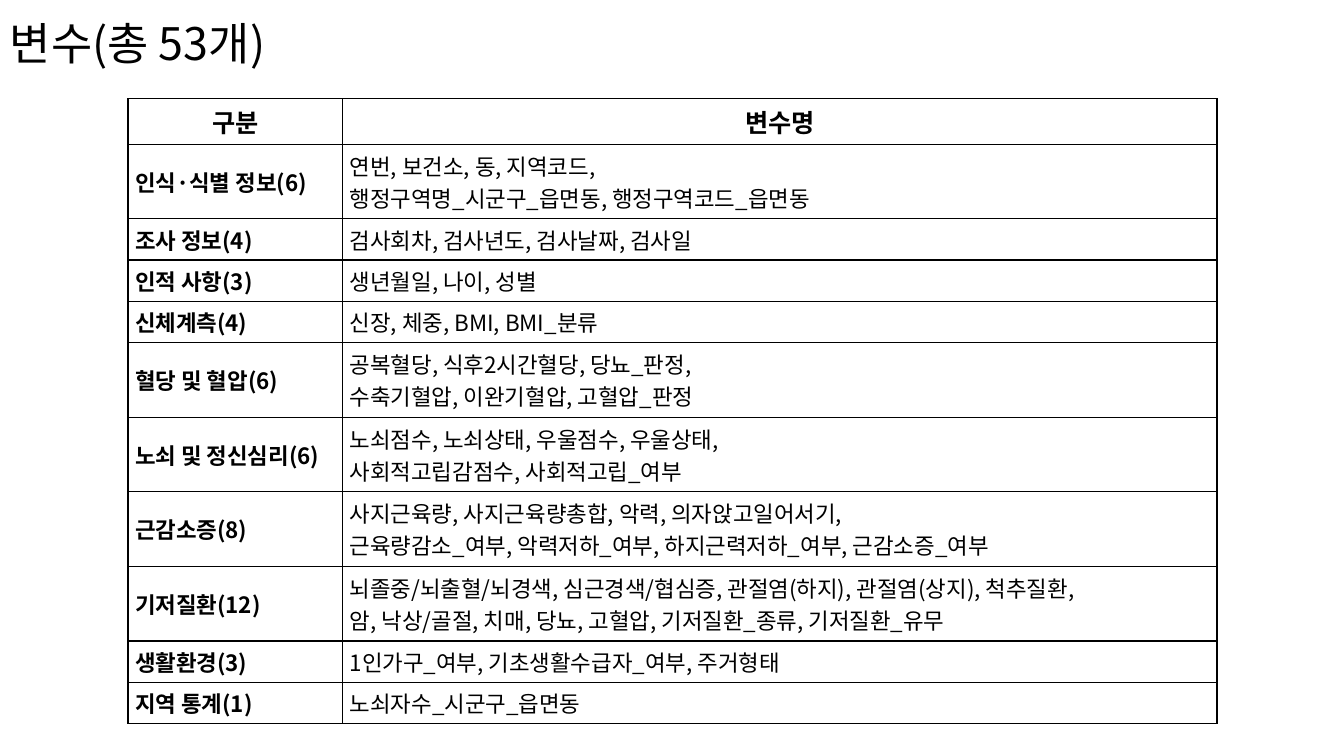
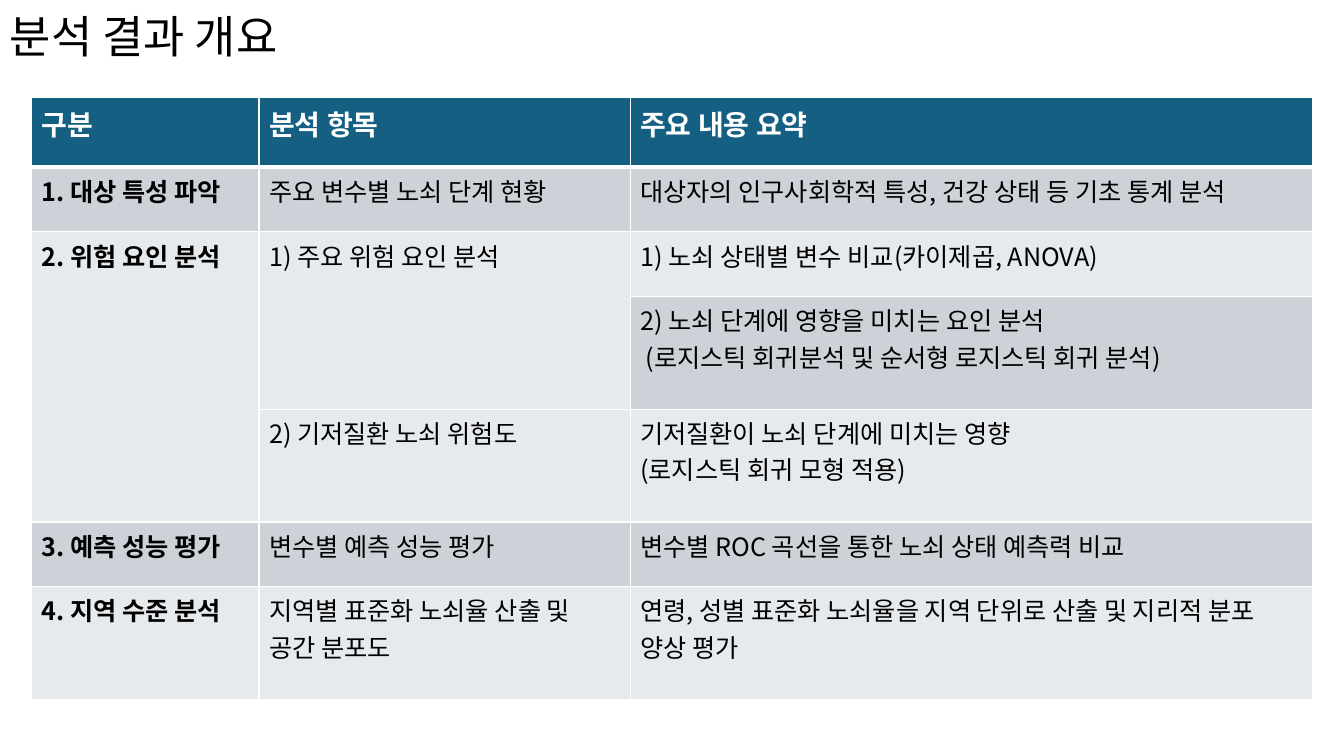
from lxml import etree
from pptx import Presentation
from pptx.dml.color import RGBColor
from pptx.enum.text import MSO_ANCHOR, PP_ALIGN
from pptx.oxml.ns import qn
from pptx.util import Inches, Pt

MID, TOP = MSO_ANCHOR.MIDDLE, MSO_ANCHOR.TOP
LEFT, CENTER = PP_ALIGN.LEFT, PP_ALIGN.CENTER
WIDE, HIGH = 13.33, 7.5
FACE = "Noto Sans CJK KR"
HUES = {"ink": "000000", "paper": "FFFFFF", "head": "156082",
        "dark": "CCD2D8", "light": "E7EAED"}

GRID = {
    "cols": [2.13, 8.67], "line": "ink", "heavy": 1,
    "head": {"size": 18, "color": "ink", "align": CENTER},
    "body": 16,
    "cell": {"vertical_anchor": MID,
             "margin_left": Inches(0.07), "margin_right": Inches(0.07),
             "margin_top": Inches(0.03), "margin_bottom": Inches(0.03)},
}
BANDS = {
    "cols": [2.26, 3.68, 6.77], "line": "paper", "heavy": 3,
    "head": {"size": 20, "color": "paper", "align": LEFT},
    "body": 18,
    "cell": {"vertical_anchor": TOP,
             "margin_left": Inches(0.1), "margin_right": Inches(0.1),
             "margin_top": Inches(0.05), "margin_bottom": Inches(0.05)},
}

FIELDS = [
    ("구분", "변수명"),
    ("인식·식별 정보(6)", "연번, 보건소, 동, 지역코드,\n행정구역명_시군구_읍면동, 행정구역코드_읍면동"),
    ("조사 정보(4)", "검사회차, 검사년도, 검사날짜, 검사일"),
    ("인적 사항(3)", "생년월일, 나이, 성별"),
    ("신체계측(4)", "신장, 체중, BMI, BMI_분류"),
    ("혈당 및 혈압(6)", "공복혈당, 식후2시간혈당, 당뇨_판정,\n수축기혈압, 이완기혈압, 고혈압_판정"),
    ("노쇠 및 정신심리(6)", "노쇠점수, 노쇠상태, 우울점수, 우울상태,\n사회적고립감점수, 사회적고립_여부"),
    ("근감소증(8)", "사지근육량, 사지근육량총합, 악력, 의자앉고일어서기,\n"
                 "근육량감소_여부, 악력저하_여부, 하지근력저하_여부, 근감소증_여부"),
    ("기저질환(12)", "뇌졸중/뇌출혈/뇌경색, 심근경색/협심증, 관절염(하지), 관절염(상지), 척추질환,\n"
                  "암, 낙상/골절, 치매, 당뇨, 고혈압, 기저질환_종류, 기저질환_유무"),
    ("생활환경(3)", "1인가구_여부, 기초생활수급자_여부, 주거형태"),
    ("지역 통계(1)", "노쇠자수_시군구_읍면동"),
]
STEPS = [
    ("구분", "분석 항목", "주요 내용 요약"),
    ("1. 대상 특성 파악", "주요 변수별 노쇠 단계 현황",
     "대상자의 인구사회학적 특성, 건강 상태 등 기초 통계 분석"),
    ("2. 위험 요인 분석", "1) 주요 위험 요인 분석",
     "1) 노쇠 상태별 변수 비교(카이제곱, ANOVA)"),
    (None, None, "2) 노쇠 단계에 영향을 미치는 요인 분석\n"
                 " (로지스틱 회귀분석 및 순서형 로지스틱 회귀 분석)"),
    (None, "2) 기저질환 노쇠 위험도",
     "기저질환이 노쇠 단계에 미치는 영향\n(로지스틱 회귀 모형 적용)"),
    ("3. 예측 성능 평가", "변수별 예측 성능 평가",
     "변수별 ROC 곡선을 통한 노쇠 상태 예측력 비교"),
    ("4. 지역 수준 분석", "지역별 표준화 노쇠율 산출 및 공간 분포도",
     "연령, 성별 표준화 노쇠율을 지역 단위로 산출 및 지리적 분포 양상 평가"),
]


def rgb(hue):
    return RGBColor.from_string(HUES[hue])


def write(frame, text, size, color="ink", bold=False, align=LEFT, spacing=1.0):
    for i, line in enumerate(text.split("\n")):
        para = frame.add_paragraph() if i else frame.paragraphs[0]
        para.alignment, para.line_spacing = align, spacing
        run = para.add_run()
        run.text = line
        look = {"size": Pt(size), "bold": bold, "name": FACE}
        for key, value in look.items():
            setattr(run.font, key, value)
        run.font.color.rgb = rgb(color)
        etree.SubElement(run.font._element, qn("a:ea"), typeface=FACE)


def title(slide, text, tall):
    box = slide.shapes.add_textbox(0, 0, Inches(WIDE), Inches(tall))
    frame = box.text_frame
    frame.word_wrap, frame.vertical_anchor = True, MID
    write(frame, text, 32, spacing=0.9)


def border(cell, hue, widths):
    props = cell._tc.get_or_add_tcPr()
    for side, width in zip("LRTB", widths):
        line = etree.SubElement(props, qn("a:ln" + side), w=str(Pt(width)))
        fill = etree.SubElement(line, qn("a:solidFill"))
        etree.SubElement(fill, qn("a:srgbClr"), val=HUES[hue])


def table(slide, left, top, data, rows, style, fills=None, spans=()):
    cols = style["cols"]
    box = [Inches(n) for n in (left, top, sum(cols), sum(rows))]
    grid = slide.shapes.add_table(len(rows), len(cols), *box).table
    grid.first_row = grid.horz_banding = False
    for parts, attr, sizes in ((grid.columns, "width", cols),
                               (grid.rows, "height", rows)):
        for part, size in zip(parts, sizes):
            setattr(part, attr, Inches(size))
    for r, texts in enumerate(data):
        heavy = style["heavy"]
        widths = (1, 1, heavy if r == 1 else 1, heavy if r == 0 else 1)
        for c, text in enumerate(texts):
            cell = grid.cell(r, c)
            for key, value in style["cell"].items():
                setattr(cell, key, value)
            border(cell, style["line"], widths)
            if fills:
                cell.fill.solid()
                cell.fill.fore_color.rgb = rgb(fills[r])
            else:
                cell.fill.background()
            if text:
                look = {"size": style["body"]} if r else style["head"]
                write(cell.text_frame, text, bold=r == 0 or c == 0, **look)
    for col, first, last in spans:
        origin = grid.cell(first, col)
        origin.merge(grid.cell(last, col))
        origin.fill.solid()
        origin.fill.fore_color.rgb = rgb(fills[first])


def fields(slide):
    title(slide, "변수(총 53개)", 0.91)
    rows = [0.45] + [0.74 if "\n" in row[1] else 0.41 for row in FIELDS[1:]]
    table(slide, 1.27, 0.98, FIELDS, rows, GRID)


def steps(slide):
    title(slide, "분석 결과 개요", 0.77)
    rows = [0.69, 0.64, 0.64, 1.12, 1.12, 0.64, 1.12]
    fills = ["head"] + ["dark", "light"] * 3
    table(slide, 0.31, 0.97, STEPS, rows, BANDS, fills, [(0, 2, 4), (1, 2, 3)])


def main():
    deck = Presentation()
    deck.slide_width, deck.slide_height = Inches(WIDE), Inches(HIGH)
    for build in (fields, steps):
        build(deck.slides.add_slide(deck.slide_layouts[6]))
    deck.save("out.pptx")


if __name__ == "__main__":
    main()
